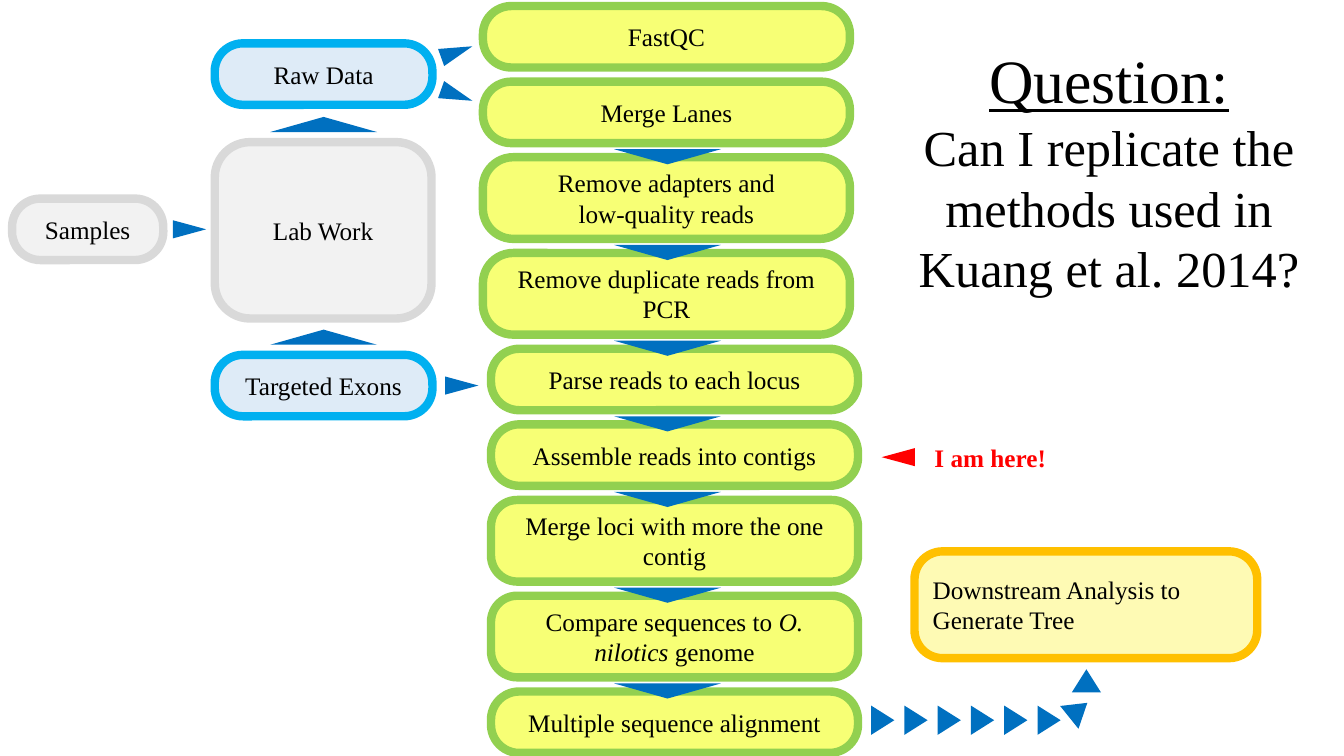
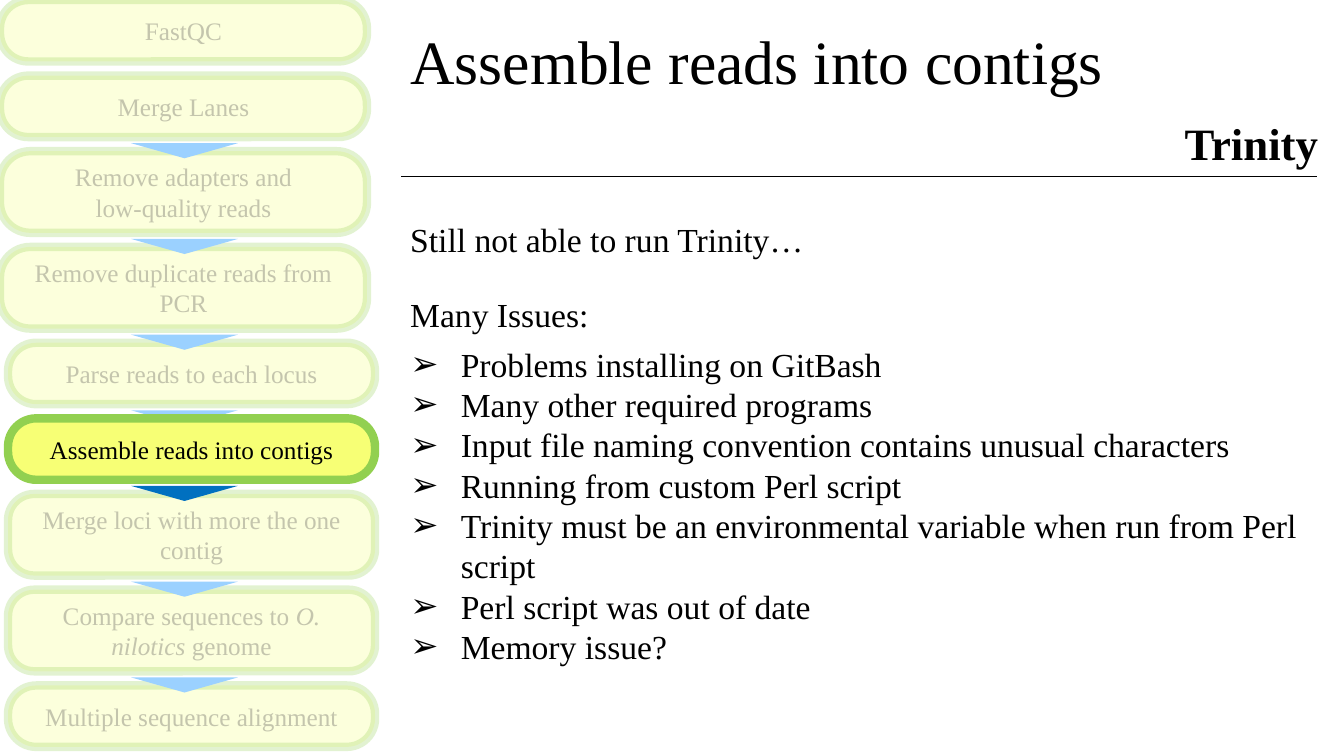
"""Build two slides on a sequencing pipeline."""
from lxml import etree
from pptx import Presentation
from pptx.dml.color import RGBColor
from pptx.enum import shapes as sh, text as tx
from pptx.oxml.ns import qn
from pptx.util import Inches, Pt

HUES = {
    "ink": "000000", "pale": "C4C5AD", "red": "FF0000",
    "blue": "0070C0", "sky": "9BD1FF",
    "lime": "F7FF75", "green": "92D050",
    "ice": "DEEBF7", "cyan": "00B0F0",
    "mist": "F2F2F2", "gray": "D9D9D9",
    "cream": "FEFAB4", "gold": "FFC000",
}
FACE = "Times New Roman"
LOW, TALL, GAP = 0.61, 0.81, 0.14
STEPS = [
    ("FastQC", LOW, 0.28),
    ("Merge Lanes", LOW, 0.28),
    ("Remove adapters and\nlow-quality reads", TALL, 0.3),
    ("Remove duplicate reads from PCR", TALL, 0.3),
    ("Parse reads to each locus", LOW, 0.28),
    ("Assemble reads into contigs", LOW, 0.28),
    ("Merge loci with more the one contig", TALL, 0.26),
    ("Compare sequences to *O. nilotics* genome", TALL, 0.26),
    ("Multiple sequence alignment", LOW, 0.28),
]
FOCUS = 5
ISSUES = [
    "Problems installing on GitBash",
    "Many other required programs",
    "Input file naming convention contains unusual characters",
    "Running from custom Perl script",
    "Trinity must be an environmental variable when run from Perl script",
    "Perl script was out of date",
    "Memory issue?",
]
LEFT, MID = tx.PP_ALIGN.LEFT, tx.PP_ALIGN.CENTER


def hue(name):
    """Return the named colour."""
    return RGBColor.from_string(HUES[name])


def style(par, size, ink="ink", align=LEFT, bold=False):
    """Format a whole paragraph."""
    par.alignment = align
    par.space_before = Pt(0)
    font = par.font
    font.name, font.size, font.bold = FACE, Pt(size), bold
    font.color.rgb = hue(ink)


def write(frame, words, size, **look):
    """Fill a frame, a paragraph per line, with *stars* around italics."""
    frame.word_wrap = True
    for i, line in enumerate(words.split("\n")):
        par = frame.add_paragraph() if i else frame.paragraphs[0]
        for j, part in enumerate(line.split("*")):
            run = par.add_run()
            run.text = part
            if j % 2:
                run.font.italic = True
        style(par, size, **look)


def place(shape, x, y, w, h):
    """Move a placeholder and set its text at the top."""
    shape.left, shape.top = Inches(x), Inches(y)
    shape.width, shape.height = Inches(w), Inches(h)
    frame = shape.text_frame
    frame.vertical_anchor = tx.MSO_ANCHOR.TOP
    frame.auto_size = tx.MSO_AUTO_SIZE.NONE
    return frame


def note(slide, x, y, w, h, words, size, **look):
    """Add a text box."""
    area = slide.shapes.add_textbox(*map(Inches, (x, y, w, h)))
    write(area.text_frame, words, size, **look)


def box(slide, x, y, w, h, words, fill, edge, radius=0.28, align=MID, faded=False):
    """Add a rounded, outlined box with a label."""
    shape = slide.shapes.add_shape(
        sh.MSO_SHAPE.ROUNDED_RECTANGLE, *map(Inches, (x, y, w, h)))
    shape.shadow.inherit = False
    shape.adjustments[0] = radius / min(w, h)
    shape.fill.solid()
    shape.fill.fore_color.rgb = hue(fill)
    shape.line.color.rgb = hue(edge)
    shape.line.width = Pt(6)
    if faded:
        for tint in shape._element.spPr.iter(qn("a:srgbClr")):
            etree.SubElement(tint, qn("a:alpha"), val="25000")
    shape.text_frame.vertical_anchor = tx.MSO_ANCHOR.MIDDLE
    write(shape.text_frame, words, 18, align=align, ink="pale" if faded else "ink")


def wedge(slide, x, y, w, h, turn=0, fill="blue"):
    """Add a triangle that points the way of the flow."""
    shape = slide.shapes.add_shape(
        sh.MSO_SHAPE.ISOSCELES_TRIANGLE, *map(Inches, (x, y, w, h)))
    shape.shadow.inherit = False
    shape.rotation = turn
    shape.fill.solid()
    shape.fill.fore_color.rgb = hue(fill)
    shape.line.fill.background()


def chain(slide, left, top, focus=None):
    """Stack the steps, fading all but the one in focus, if any."""
    tops = [top + sum(h + GAP for _, h, _ in STEPS[:i]) for i in range(len(STEPS))]

    def step(i):
        """Draw one step."""
        words, high, radius = STEPS[i]
        box(slide, left + (0.08 if i > 3 else 0), tops[i], 3.64, high, words,
            "lime", "green", radius, faded=focus not in (None, i))

    for i in range(len(STEPS)):
        if i != focus:
            step(i)
    for i in range(2, len(STEPS)):
        fill = "blue" if focus in (None, i - 1) else "sky"
        wedge(slide, left + 1.3, tops[i] - 0.08, 1.06, 0.15, 180, fill)
    if focus is not None:
        step(focus)


def rule(slide, x, y, end):
    """Add a thin level line."""
    line = slide.shapes.add_connector(
        sh.MSO_CONNECTOR.STRAIGHT, *map(Inches, (x, y, end, y)))
    line.line.color.rgb = hue("ink")
    line.line.width = Pt(0.5)
    etree.SubElement(line._element.spPr, qn("a:effectLst"))


def bullets(frame, items):
    """Write a list with arrow bullets."""
    write(frame, "\n".join(items), 24)
    for par in frame.paragraphs:
        props = par._p.get_or_add_pPr()
        props.set("marL", str(Inches(0.5)))
        props.set("indent", str(-Inches(0.5)))
        mark = etree.Element(qn("a:buChar"), char="➢")
        props.find(qn("a:defRPr")).addprevious(mark)


def flow(deck):
    """Draw the whole workflow and the question."""
    slide = deck.slides.add_slide(deck.slide_layouts[5])
    frame = place(slide.shapes.title, 8.69, 0.37, 4.62, 2.66)
    write(frame, "Question:\nCan I replicate the methods used in Kuang et al. 2014?",
          36, align=MID)
    head = frame.paragraphs[0].font
    head.size, head.underline = Pt(44), True

    box(slide, 0.12, 1.97, 1.5, LOW, "Samples", "mist", "gray")
    box(slide, 2.13, 1.41, 2.15, 1.75, "Lab Work", "mist", "gray", 0.35)
    for y, words in ((0.43, "Raw Data"), (3.52, "Targeted Exons")):
        box(slide, 2.13, y, 2.16, LOW, words, "ice", "cyan")
    chain(slide, 4.79, 0.06)
    box(slide, 9.07, 5.47, 3.4, 1.06, "Downstream Analysis to\nGenerate Tree",
        "cream", "gold", align=LEFT)

    for y in (1.16, 3.27):
        wedge(slide, 2.68, y, 1.06, 0.15)
    for x, y, turn in ((1.79, 2.11, 90), (4.49, 3.66, 90),
                       (4.44, 0.35, 70.3), (4.44, 0.78, 109.7)):
        wedge(slide, x, y, 0.18, 0.33, turn)
    trail = [(8.61 + 0.33 * i, 7.03, 90) for i in range(6)]
    for x, y, turn in trail + [(10.55, 6.93, 51.1), (10.63, 6.64, 0)]:
        wedge(slide, x, y, 0.29, 0.23, turn)

    wedge(slide, 8.82, 4.37, 0.18, 0.33, 270, "red")
    note(slide, 9.17, 4.34, 1.9, 0.4, "I am here!", 18, ink="red", bold=True)


def detail(deck):
    """Draw the step in focus and its issues."""
    slide = deck.slides.add_slide(deck.slide_layouts[1])
    title, body = slide.placeholders
    write(place(title, 3.97, 0.18, 7.89, 0.9), STEPS[FOCUS][0], 44)
    bullets(place(body, 3.97, 3.36, 9.3, 3.33), ISSUES)
    chain(slide, 0, 0, FOCUS)
    note(slide, 11.65, 1.1, 1.6, 0.64, "Trinity", 32, bold=True)
    rule(slide, 3.98, 1.75, 13.06)
    for y, words in ((2.12, "Still not able to run Trinity…"), (2.87, "Many Issues:")):
        note(slide, 3.97, y, 6.55, 0.5, words, 24)


def main():
    """Build and save the deck."""
    deck = Presentation()
    deck.slide_width, deck.slide_height = Inches(13.33), Inches(7.5)
    flow(deck)
    detail(deck)
    deck.save("out.pptx")


if __name__ == "__main__":
    main()
